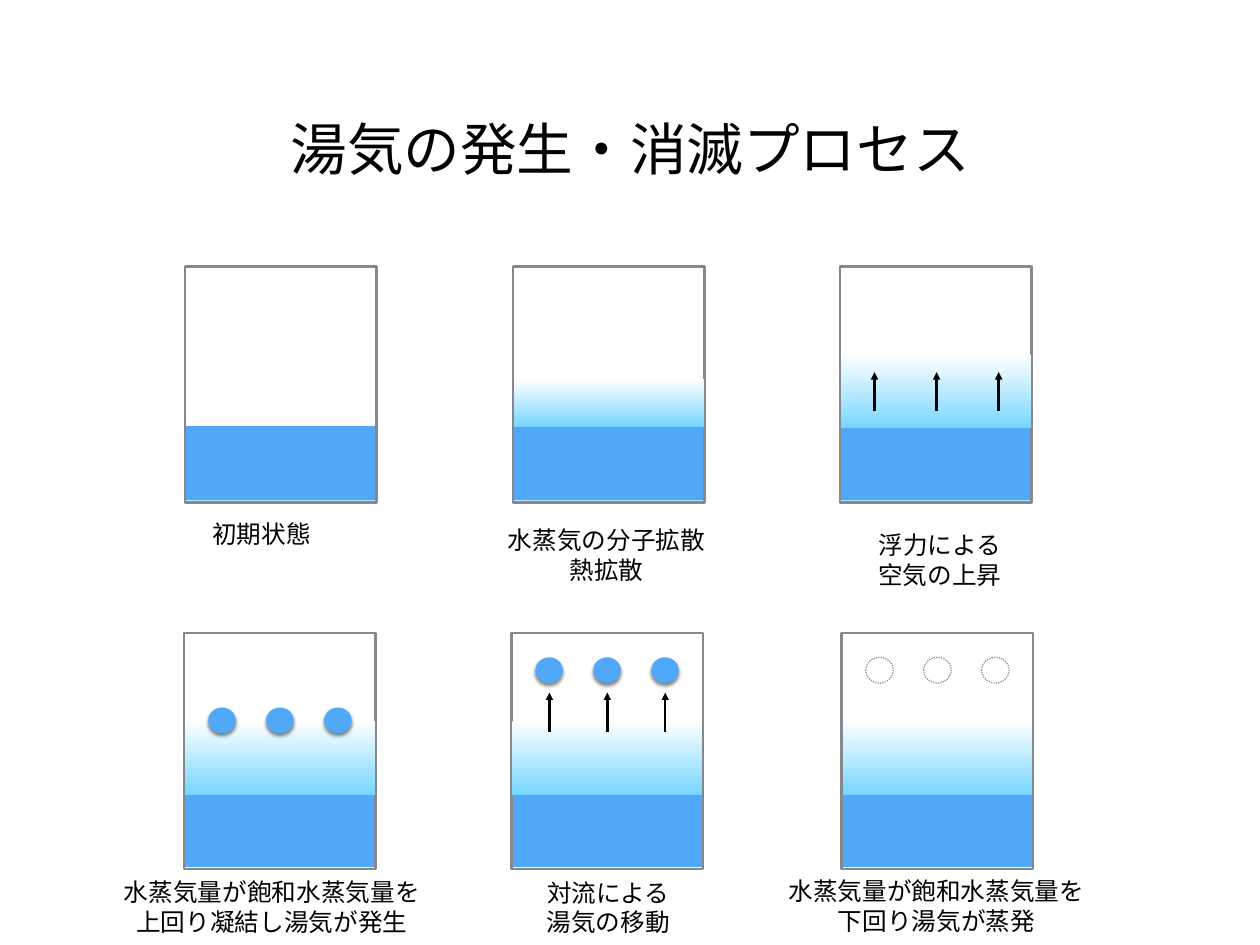
from lxml import etree
from pptx import Presentation
from pptx import util as u
from pptx.dml.color import RGBColor
from pptx.enum import dml, shapes, text
from pptx.oxml import ns

BLACK = RGBColor(0x00, 0x00, 0x00)
WHITE = RGBColor(0xFF, 0xFF, 0xFF)
WATER = RGBColor(0x51, 0xA8, 0xF9)
VAPOUR = RGBColor(0x76, 0xD6, 0xFF)
GREY = RGBColor(0x85, 0x88, 0x8D)
FONT = "Roboto"

# Frame size, water level and drop size in cm
FRAME_W, FRAME_H = 5.49, 6.76
INSET, FILL_W = 0.03, 5.44
WATER_Y, WATER_H = 4.57, 2.13
DROP_W, DROP_H, DROP_X, STEP = 0.79, 0.74, 0.69, 1.66

prs = Presentation()
prs.slide_width, prs.slide_height = u.Cm(36.12), u.Cm(27.1)
s = prs.slides.add_slide(prs.slide_layouts[5])


def add_box(kind, x, y, w, h, fill=None, line=None):
    sp = s.shapes.add_shape(kind, u.Cm(x), u.Cm(y), u.Cm(w), u.Cm(h))
    sp.shadow.inherit = False
    if fill is None:
        sp.fill.background()
    else:
        sp.fill.solid()
        sp.fill.fore_color.rgb = fill
    if line is None:
        sp.line.fill.background()
    else:
        sp.line.color.rgb = line
        sp.line.width = u.Pt(2)
    return sp


def set_text(tf, words, size):
    tf.text = words
    tf.vertical_anchor = text.MSO_ANCHOR.MIDDLE
    tf.margin_left = tf.margin_right = tf.margin_top = tf.margin_bottom = u.Cm(0.15)
    for p in tf.paragraphs:
        p.alignment = text.PP_ALIGN.CENTER
        p.font.size = u.Pt(size)
        p.font.name = FONT
        p.font.color.rgb = BLACK


# Title
title = s.shapes.title
title.left, title.top, title.width, title.height = u.Cm(2.64), u.Cm(1.24), u.Cm(30.84), u.Cm(5.99)
set_text(title.text_frame, "湯気の発生・消滅プロセス", 46)

# Stages: frame x, y; vapour y, height; drops y, filled;
# arrows first x, step, from y, to y (all relative to the frame)
RECT, OVAL = shapes.MSO_SHAPE.RECTANGLE, shapes.MSO_SHAPE.OVAL
stages = [
    (5.31, 7.65, None, None, None),
    (14.71, 7.65, (3.23, 1.37), None, None),
    (24.08, 7.65, (2.51, 2.13), None, (0.99, 1.78, 4.14, 3.02)),
    (5.28, 18.16, (2.51, 2.13), (2.13, True), None),
    (14.66, 18.16, (2.51, 2.13), (0.69, True), (1.09, STEP, 2.84, 1.7)),
    (24.13, 18.16, (2.51, 2.13), (0.69, False), None),
]
for x, y, vapour, drops, arrows in stages:
    # Water and vessel
    add_box(RECT, x + INSET, y + WATER_Y, FILL_W, WATER_H, fill=WATER)
    add_box(RECT, x, y, FRAME_W, FRAME_H, line=GREY)

    # Vapour fading upwards
    if vapour:
        sp = add_box(RECT, x + INSET, y + vapour[0], FILL_W, vapour[1])
        sp.fill.gradient()
        sp.fill.gradient_angle = 270
        for stop, color in zip(sp.fill.gradient_stops, (WHITE, VAPOUR)):
            stop.color.rgb = color

    # Droplets: shaded when condensed, dotted when evaporated
    if drops:
        drop_y, condensed = drops
        for i in range(3):
            box = (x + DROP_X + i * STEP, y + drop_y, DROP_W, DROP_H)
            if condensed:
                sp = add_box(OVAL, *box, fill=WATER)
                effects = sp._element.spPr.find(ns.qn("a:effectLst"))
                shadow = etree.SubElement(effects, ns.qn("a:outerShdw"), blurRad="38100",
                                          dist="25400", dir="5400000", rotWithShape="0")
                shade = etree.SubElement(shadow, ns.qn("a:srgbClr"), val=str(BLACK))
                etree.SubElement(shade, ns.qn("a:alpha"), val="50000")
            else:
                sp = add_box(OVAL, *box, line=GREY)
                sp.line.width = u.Pt(1)
                sp.line.dash_style = dml.MSO_LINE.ROUND_DOT

    # Rising arrows
    if arrows:
        first, step, start, end = arrows
        for i in range(3):
            ax = u.Cm(x + first + i * step)
            arrow = s.shapes.add_connector(shapes.MSO_CONNECTOR.STRAIGHT,
                                           ax, u.Cm(y + start), ax, u.Cm(y + end))
            arrow.line.color.rgb = BLACK
            arrow.line.width = u.Pt(2)
            etree.SubElement(arrow.line._get_or_add_ln(), ns.qn("a:tailEnd"), type="triangle")
            etree.SubElement(arrow._element.spPr, ns.qn("a:effectLst"))

# Captions: \v breaks a line, \n starts a paragraph
captions = [
    (5.92, 14.81, 3.15, 0.99, "初期状態"),
    (14.4, 14.81, 5.97, 2.18, "水蒸気の分子拡散\v熱拡散"),
    (25.02, 14.96, 3.84, 2.18, "浮力による\v空気の上昇"),
    (3.3, 24.97, 8.99, 2.06, "水蒸気量が飽和水蒸気量を\n上回り凝結し湯気が発生"),
    (15.52, 24.92, 3.84, 2.18, "対流による\v湯気の移動"),
    (22.35, 24.94, 8.99, 2.06, "水蒸気量が飽和水蒸気量を\n下回り湯気が蒸発"),
]
for x, y, w, h, words in captions:
    tf = s.shapes.add_textbox(u.Cm(x), u.Cm(y), u.Cm(w), u.Cm(h)).text_frame
    tf.word_wrap = False
    tf.auto_size = text.MSO_AUTO_SIZE.SHAPE_TO_FIT_TEXT
    set_text(tf, words, 20)

prs.save("out.pptx")
